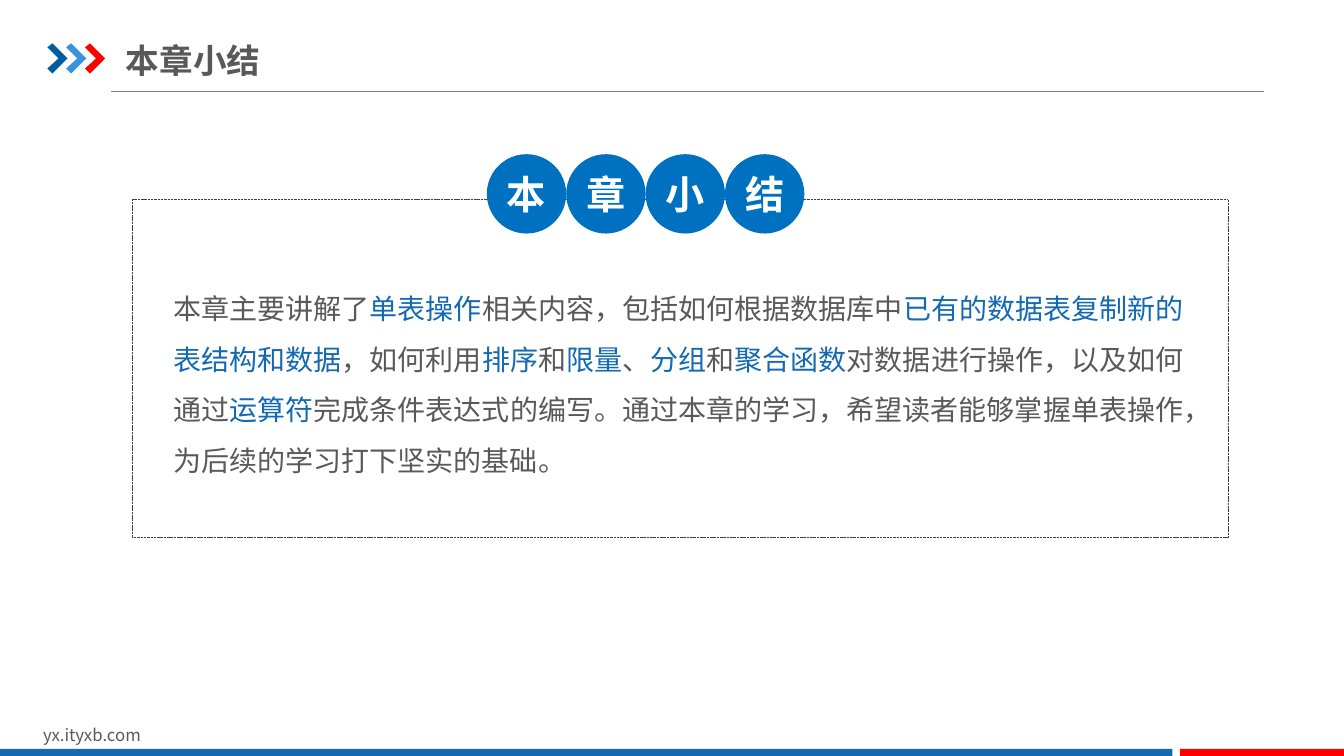
from lxml import etree
from pptx import Presentation, util as u
from pptx.dml.color import RGBColor
from pptx.enum import dml, shapes, text
from pptx.oxml import ns

NAVY = RGBColor(0x00, 0x5D, 0xA2)
SKY = RGBColor(0x39, 0x92, 0xDB)
RED = RGBColor(0xFF, 0x00, 0x00)
BLUE = RGBColor(0x13, 0x69, 0xB2)
DISC = RGBColor(0x00, 0x70, 0xC0)
TEXT = RGBColor(0x59, 0x59, 0x59)
DARK = RGBColor(0x40, 0x40, 0x40)
GRAY = RGBColor(0x80, 0x80, 0x80)
WHITE = RGBColor(0xFF, 0xFF, 0xFF)
FONT = "Noto Sans CJK SC"
COLS, ROWS = 160, 90

SUMMARY = [
    ("本章主要讲解了", TEXT),
    ("单表操作", BLUE),
    ("相关内容，包括如何根据数据库中", TEXT),
    ("已有的数据表复制新的表结构和数据", BLUE),
    ("，如何利用", TEXT),
    ("排序", BLUE),
    ("和", TEXT),
    ("限量", BLUE),
    ("、", TEXT),
    ("分组", BLUE),
    ("和", TEXT),
    ("聚合函数", BLUE),
    ("对数据进行操作，以及如何通过", TEXT),
    ("运算符", BLUE),
    ("完成条件表达式的编写。通过本章的学习，希望读者能够掌握单表操作，为后续的学习打下坚实的基础。", TEXT),
]


class Page:
    def __init__(self, deck):
        self.slide = deck.slides.add_slide(deck.slide_layouts[5])
        self.items = self.slide.shapes
        self.col = deck.slide_width / COLS
        self.row = deck.slide_height / ROWS

    def spot(self, x, y):
        return round(x * self.col), round(y * self.row)

    def area(self, x, y, w, h):
        return *self.spot(x, y), *self.spot(w, h)

    def style(self, run, size, color, bold=False):
        font = run.font
        font.name, font.size, font.bold = FONT, u.Pt(size), bold
        font.color.rgb = color
        east = etree.SubElement(run._r.get_or_add_rPr(), ns.qn("a:ea"))
        east.set("typeface", FONT)

    def paint(self, shape, color):
        shape.shadow.inherit = False
        shape.fill.solid()
        shape.fill.fore_color.rgb = color
        shape.line.fill.background()

    def inset(self, frame, side, edge):
        frame.margin_left = frame.margin_right = u.Inches(side)
        frame.margin_top = frame.margin_bottom = u.Inches(edge)

    def title(self, words, *area):
        shape = self.items.title
        shape.left, shape.top, shape.width, shape.height = self.area(*area)
        frame = shape.text_frame
        frame.text = words
        frame.auto_size = text.MSO_AUTO_SIZE.NONE
        frame.vertical_anchor = text.MSO_ANCHOR.MIDDLE
        self.inset(frame, 0, 0.07)
        para = frame.paragraphs[0]
        para.alignment = text.PP_ALIGN.LEFT
        self.style(para.runs[0], 24, TEXT, True)

    def rule(self, x, y, end):
        line = self.items.add_connector(
            shapes.MSO_CONNECTOR.STRAIGHT, *self.spot(x, y), *self.spot(end, y))
        line.line.color.rgb = GRAY
        line.line.width = u.Pt(0.75)
        etree.SubElement(line._element.spPr, ns.qn("a:effectLst"))

    def arrow(self, x, y, color):
        edge = [(0, 0.48), (0.6, 0), (2.4, 1.8), (0.6, 3.6), (0, 3), (1.32, 1.8)]
        first, *rest = [self.spot(x + dx, y + dy) for dx, dy in edge]
        form = self.items.build_freeform(*first)
        form.add_line_segments(rest, close=True)
        self.paint(form.convert_to_shape(), color)

    def bar(self, color, *area):
        kind = shapes.MSO_SHAPE.RECTANGLE
        self.paint(self.items.add_shape(kind, *self.area(*area)), color)

    def frame(self, *area):
        kind = shapes.MSO_SHAPE.ROUNDED_RECTANGLE
        box = self.items.add_shape(kind, *self.area(*area))
        box.adjustments[0] = 0
        box.shadow.inherit = False
        box.fill.background()
        box.line.color.rgb = DARK
        box.line.width = u.Pt(0.25)
        box.line.dash_style = dml.MSO_LINE.SQUARE_DOT

    def disc(self, word, x, y, size):
        kind = shapes.MSO_SHAPE.OVAL
        disc = self.items.add_shape(kind, *self.area(x, y, size, size))
        self.paint(disc, DISC)
        frame = disc.text_frame
        frame.text = word
        frame.vertical_anchor = text.MSO_ANCHOR.MIDDLE
        self.inset(frame, 0, 0)
        para = frame.paragraphs[0]
        para.alignment = text.PP_ALIGN.CENTER
        self.style(para.runs[0], 28, WHITE, True)

    def label(self, parts, size, area, inset=(0.1, 0.05), space=1):
        frame = self.items.add_textbox(*self.area(*area)).text_frame
        frame.word_wrap = True
        self.inset(frame, *inset)
        para = frame.paragraphs[0]
        para.line_spacing = space
        for words, color in parts:
            run = para.add_run()
            run.text = words
            self.style(run, size, color)


def main():
    deck = Presentation()
    deck.slide_width, deck.slide_height = u.Inches(13.33), u.Inches(7.5)
    page = Page(deck)
    page.rule(13.2, 10.92, 150.5)
    for i, color in enumerate((NAVY, SKY, RED)):
        page.arrow(5.64 + i * 2.24, 5.16, color)
    page.label([("yx.ityxb.com", TEXT)], 12, (3.96, 85.68, 38.16, 3.6))
    page.bar(BLUE, 0, 89.16, 139.56, 0.84)
    page.bar(RED, 140.5, 89.16, 19.5, 0.84)
    page.title("本章小结", 15, 4.32, 63.12, 5.76)
    page.frame(15.72, 23.76, 130.44, 40.2)
    page.label(SUMMARY, 20, (20.64, 32.76, 120.72, 23.52), (0, 0), 1.5)
    for i, word in enumerate("本章小结"):
        page.disc(word, 57.96 + i * 9.45, 18.36, 9.45)
    deck.save("out.pptx")


if __name__ == "__main__":
    main()
